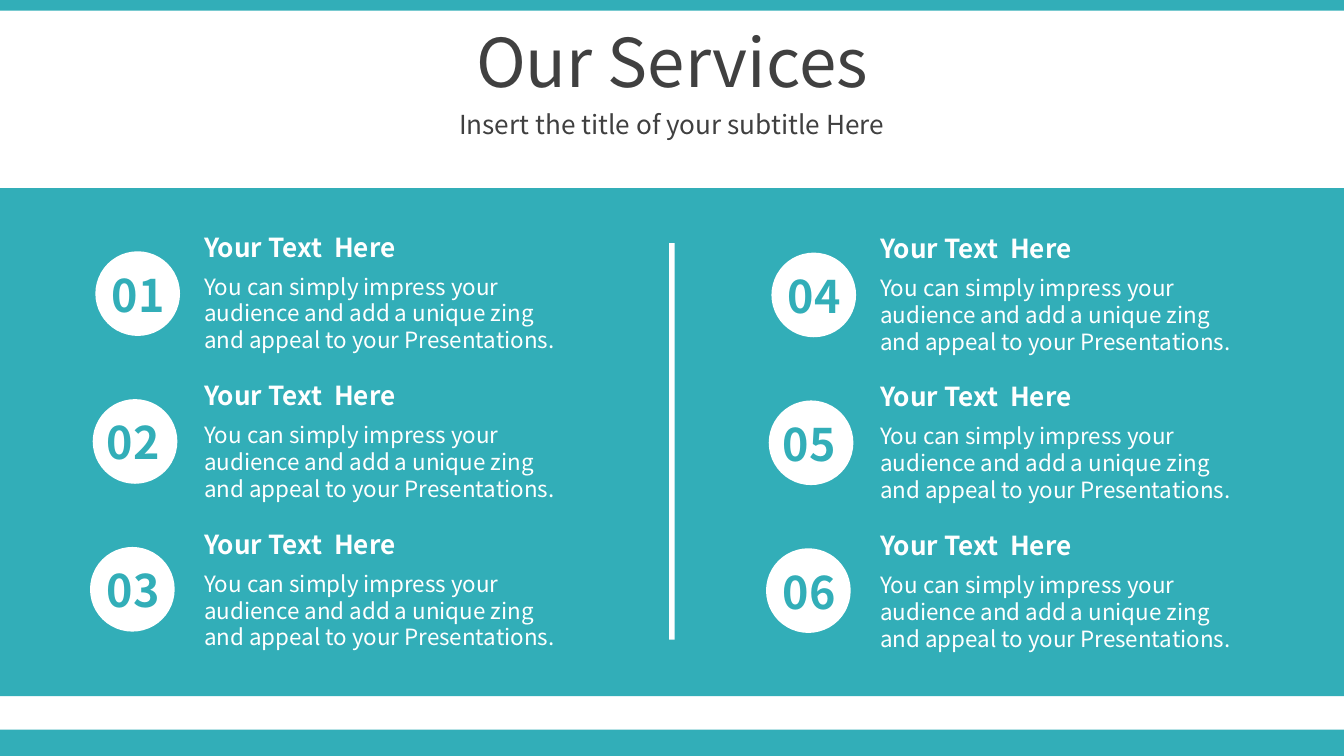
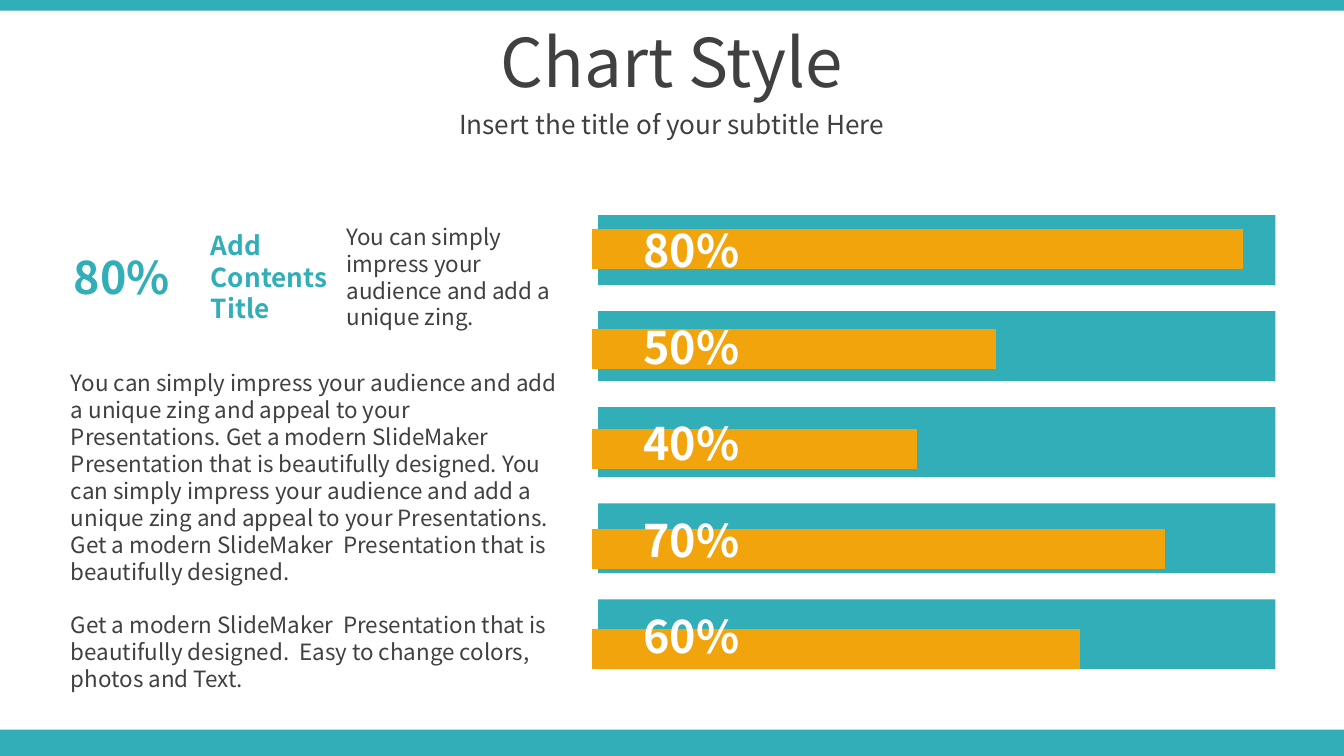
from dataclasses import dataclass

from lxml.etree import SubElement
from pptx import Presentation
from pptx.chart.data import CategoryChartData
from pptx.dml.color import RGBColor
from pptx.enum.chart import XL_CHART_TYPE as ChartType
from pptx.enum.shapes import MSO_SHAPE as Shape
from pptx.enum.text import MSO_ANCHOR as Anchor, MSO_AUTO_SIZE as AutoSize, PP_ALIGN as Align
from pptx.oxml.ns import qn
from pptx.slide import Slide
from pptx.util import Inches, Pt


@dataclass(frozen=True)
class Theme:
    teal: RGBColor = RGBColor(0x32, 0xAE, 0xB8)
    orange: RGBColor = RGBColor(0xF2, 0xA4, 0x0D)
    white: RGBColor = RGBColor(0xFF, 0xFF, 0xFF)
    dark: RGBColor = RGBColor(0x40, 0x40, 0x40)
    black: RGBColor = RGBColor(0, 0, 0)
    font: str = "Noto Sans CJK KR"
    chart_font: str = "Arial"
    title: int = 36
    number: int = 24
    chart: int = 18
    heading: int = 14
    body: int = 12
    paragraph_gap: float = 14.4


@dataclass(frozen=True)
class Area:
    left: float
    top: float
    width: float
    height: float


@dataclass(frozen=True)
class TextStyle:
    size: int
    color: RGBColor
    bold: bool = False
    align: Align = Align.LEFT
    anchor: Anchor = Anchor.TOP
    grow: bool = True


@dataclass(frozen=True)
class Service:
    number: str
    column: int
    row: int
    number_left: float


@dataclass(frozen=True)
class Bar:
    label: str
    value: int


THEME = Theme()
TITLE = TextStyle(THEME.title, THEME.dark, align=Align.CENTER, anchor=Anchor.MIDDLE, grow=False)
SUBTITLE = TextStyle(THEME.heading, THEME.dark, align=Align.CENTER, anchor=Anchor.MIDDLE, grow=False)
SERVICE_HEADING = TextStyle(THEME.heading, THEME.white, bold=True)
SERVICE_BODY = TextStyle(THEME.body, THEME.white)
SERVICE_NUMBER = TextStyle(THEME.number, THEME.teal, bold=True, align=Align.CENTER)
BAR_LABEL = TextStyle(THEME.number, THEME.white, bold=True, align=Align.CENTER, anchor=Anchor.MIDDLE)
KEY_FIGURE = TextStyle(THEME.number, THEME.teal, bold=True, align=Align.CENTER, anchor=Anchor.MIDDLE)
KEY_HEADING = TextStyle(THEME.heading, THEME.teal, bold=True)
BODY = TextStyle(THEME.body, THEME.dark)

IMPRESS = "You can simply impress your audience and add a unique zing"
APPEAL = f"{IMPRESS} and appeal to your Presentations."
MODERN = "Get a modern SlideMaker  Presentation that is beautifully designed."

SERVICES = [
    Service("01", 0, 0, 0.68),
    Service("02", 0, 1, 0.64),
    Service("03", 0, 2, 0.64),
    Service("04", 1, 0, 0.68),
    Service("05", 1, 1, 0.64),
    Service("06", 1, 2, 0.64),
]
BARS = [Bar("80%", 100), Bar("50%", 62), Bar("40%", 50), Bar("70%", 88), Bar("60%", 75)]


def inches(area: Area) -> tuple[Inches, Inches, Inches, Inches]:
    return Inches(area.left), Inches(area.top), Inches(area.width), Inches(area.height)


def add_block(page: Slide, area: Area, color: RGBColor, kind: Shape = Shape.RECTANGLE) -> None:
    block = page.shapes.add_shape(kind, *inches(area))
    block.shadow.inherit = False
    block.fill.solid()
    block.fill.fore_color.rgb = color
    block.line.fill.background()


def add_text(page: Slide, area: Area, style: TextStyle, *texts: str) -> None:
    frame = page.shapes.add_textbox(*inches(area)).text_frame
    frame.word_wrap = True
    frame.auto_size = AutoSize.SHAPE_TO_FIT_TEXT if style.grow else AutoSize.NONE
    frame.vertical_anchor = style.anchor
    for index, text in enumerate(texts):
        para = frame.add_paragraph() if index else frame.paragraphs[0]
        para.text = text
        para.alignment = style.align
        para.font.name = THEME.font
        para.font.size = Pt(style.size)
        para.font.bold = style.bold
        para.font.color.rgb = style.color
        if index:
            para.space_before = Pt(THEME.paragraph_gap)


def add_page(deck: Presentation, title: str) -> Slide:
    page = deck.slides.add_slide(deck.slide_layouts[6])
    add_block(page, Area(0, 5.43, 10, 0.2), THEME.teal)
    add_block(page, Area(0, 0, 10, 0.08), THEME.teal)
    add_text(page, Area(0, 0.14, 10, 0.63), TITLE, title)
    add_text(page, Area(0, 0.77, 10, 0.31), SUBTITLE, "Insert the title of your subtitle Here")
    return page


def add_service(page: Slide, service: Service) -> None:
    left = 5.03 * service.column
    column_top = 0.01 * service.column
    top = column_top + 1.1 * service.row
    text_top = column_top + 1.105 * service.row
    circle_left = left + 0.71 - 0.02 * service.row
    add_block(page, Area(circle_left, top + 1.87, 0.63, 0.63), THEME.white, Shape.OVAL)
    add_text(page, Area(left + 1.42, text_top + 1.98, 2.91, 0.91), SERVICE_BODY, APPEAL)
    add_text(page, Area(left + 1.42, text_top + 1.67, 2.91, 0.34), SERVICE_HEADING, "Your Text  Here")
    add_text(page, Area(left + service.number_left, top + 1.94, 0.7, 0.5), SERVICE_NUMBER, service.number)


def add_bar_chart(page: Slide, area: Area) -> None:
    data = CategoryChartData()
    data.categories = [str(index + 1) for index in range(len(BARS))]
    data.add_series("Series 1", [bar.value for bar in reversed(BARS)])
    chart = page.shapes.add_chart(ChartType.BAR_CLUSTERED, *inches(area), data).chart
    chart.has_legend = False
    chart.has_title = False
    chart.font.name = THEME.chart_font
    chart.font.size = Pt(THEME.chart)
    chart.font.color.rgb = THEME.black
    chart.value_axis.minimum_scale = 0
    chart.value_axis.maximum_scale = 100
    chart.value_axis.has_major_gridlines = False
    chart.value_axis.visible = False
    chart.category_axis.visible = False
    plot = chart.plots[0]
    plot.gap_width = 150
    plot.vary_by_categories = False
    fill = plot.series[0].format.fill
    fill.solid()
    fill.fore_color.rgb = THEME.orange

    plot_area = chart.element.find(f".//{qn('c:plotArea')}")
    layout = plot_area.find(qn("c:layout"))
    if layout is None:
        layout = SubElement(plot_area, qn("c:layout"))
        plot_area.insert(0, layout)
    manual = SubElement(layout, qn("c:manualLayout"))
    settings = {"layoutTarget": "inner", "xMode": "edge", "yMode": "edge",
                "x": 0.02, "y": 0.02, "w": 0.85, "h": 0.96}
    for name, value in settings.items():
        SubElement(manual, qn(f"c:{name}")).set("val", str(value))


def build_services(deck: Presentation) -> None:
    page = add_page(deck, "Our Services")
    add_block(page, Area(0, 1.4, 10, 3.78), THEME.teal)
    for service in SERVICES:
        add_service(page, service)
    add_block(page, Area(4.98, 1.81, 0.04, 2.95), THEME.white)


def build_chart(deck: Presentation) -> None:
    page = add_page(deck, "Chart Style")
    for row in range(len(BARS)):
        add_block(page, Area(4.45, 1.6 + 0.715 * row, 5.04, 0.52), THEME.teal)
    add_bar_chart(page, Area(4.29, 1.4, 5.7, 3.88))
    for row, bar in enumerate(BARS):
        add_text(page, Area(4.67, 1.61 + 0.718 * row, 0.95, 0.5), BAR_LABEL, bar.label)
    add_text(page, Area(0.43, 1.81, 0.95, 0.5), KEY_FIGURE, "80%")
    add_text(page, Area(1.47, 1.66, 1.1, 0.81), KEY_HEADING, "Add Contents Title")
    add_text(page, Area(2.48, 1.61, 1.81, 0.91), BODY, f"{IMPRESS}.")
    add_text(page, Area(0.43, 2.7, 3.86, 2.52), BODY,
             f"{APPEAL} {MODERN} {APPEAL} {MODERN}",
             f"{MODERN}  Easy to change colors, photos and Text.")


def main() -> None:
    deck = Presentation()
    deck.slide_width = Inches(10)
    deck.slide_height = Inches(10 * 9 / 16)
    build_services(deck)
    build_chart(deck)
    deck.save("out.pptx")


if __name__ == "__main__":
    main()
